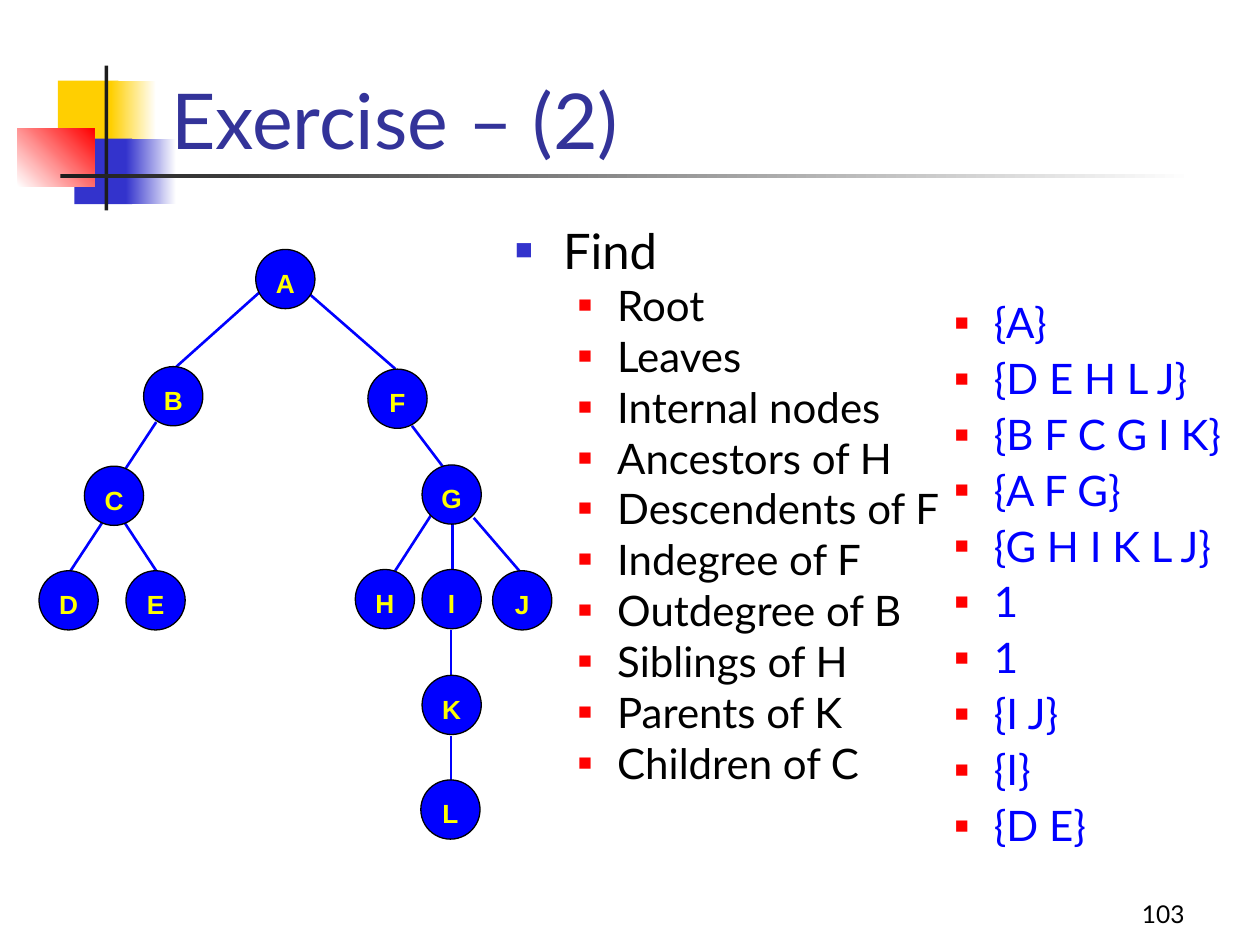
from lxml import etree
from pptx import Presentation
from pptx.dml.color import RGBColor
from pptx.enum.shapes import MSO_CONNECTOR, MSO_SHAPE
from pptx.enum.text import MSO_ANCHOR, PP_ALIGN
from pptx.oxml.ns import qn
from pptx.util import Inches, Pt

RECTANGLE = MSO_SHAPE.RECTANGLE
CIRCLE = MSO_SHAPE.FLOWCHART_CONNECTOR
STRAIGHT = MSO_CONNECTOR.STRAIGHT
TOP, MIDDLE, BOTTOM = MSO_ANCHOR.TOP, MSO_ANCHOR.MIDDLE, MSO_ANCHOR.BOTTOM
LEFT, CENTER, RIGHT = PP_ALIGN.LEFT, PP_ALIGN.CENTER, PP_ALIGN.RIGHT

COLORS = {
    "white": "FFFFFF", "black": "000000", "charcoal": "1C1C1C",
    "gold": "FFCF01", "indigo": "3333CC", "red": "FF0000",
    "title": "333399", "blue": "0000FF", "yellow": "FFFF00",
}
RGB = {name: RGBColor.from_string(value) for name, value in COLORS.items()}
FONT = "Lato"

prs = Presentation()
prs.slide_width, prs.slide_height = Inches(10), Inches(7.5)
slide = prs.slides.add_slide(prs.slide_layouts[6])
shapes = slide.shapes


def add_text(box, lines, size, color, anchor=TOP, align=LEFT):
    """Add a text box with one paragraph per line and return its paragraphs."""
    frame = shapes.add_textbox(*map(Inches, box)).text_frame
    frame.word_wrap = True
    frame.vertical_anchor = anchor
    frame.text = "\n".join(lines)
    for paragraph in frame.paragraphs:
        paragraph.alignment = align
        for run in paragraph.runs:
            run.font.name = FONT
            run.font.size = Pt(size)
            run.font.color.rgb = RGB[color]
    return frame.paragraphs


def set_bullet(paragraph, color, percent, margin, hanging, level):
    """Give a paragraph a square bullet with a hanging indent."""
    paragraph.level = level
    props = paragraph._p.get_or_add_pPr()
    props.set("marL", str(Inches(margin)))
    props.set("indent", str(-Inches(hanging)))
    bullet_color = etree.SubElement(props, qn("a:buClr"))
    etree.SubElement(bullet_color, qn("a:srgbClr"), val=COLORS[color])
    etree.SubElement(props, qn("a:buSzPct"), val=str(percent * 1000))
    etree.SubElement(props, qn("a:buFont"), typeface="Arial")
    etree.SubElement(props, qn("a:buChar"), char="■")


# Corner ornament and title rule: box, start colour, end colour, angle
ornament = [
    ((0.46, 0.64, 0.48, 0.52), "gold", None, 0),
    ((0.88, 0.64, 0.36, 0.52), "gold", "white", 0),
    ((0.59, 1.1, 0.46, 0.52), "indigo", None, 0),
    ((1, 1.1, 0.4, 0.52), "indigo", "white", 0),
    ((0.14, 1.02, 0.61, 0.46), "white", "red", 45),
    ((0.83, 0.52, 0.03, 1.15), "charcoal", None, 0),
    ((0.48, 1.38, 9, 0.03), "charcoal", "white", 0),
]
for box, start, end, angle in ornament:
    block = shapes.add_shape(RECTANGLE, *map(Inches, box))
    block.shadow.inherit = False
    block.line.fill.background()
    if end is None:
        block.fill.solid()
        block.fill.fore_color.rgb = RGB[start]
    else:
        block.fill.gradient()
        block.fill.gradient_angle = angle
        for stop, color, position in zip(block.fill.gradient_stops, (start, end), (0, 1)):
            stop.color.rgb = RGB[color]
            stop.position = position

# Slide number and title
add_text((7.42, 6.92, 2.08, 0.5), ["103"], 14, "black", BOTTOM, RIGHT)
add_text((1.26, 0.11, 8.52, 1.25), ["Exercise – (2)"], 44, "title", BOTTOM)

# Questions
questions = ["Root", "Leaves", "Internal nodes", "Ancestors of H", "Descendents of F",
             "Indegree of F", "Outdegree of B", "Siblings of H", "Parents of K",
             "Children of C"]
heading, *question_lines = add_text((3.99, 1.79, 3.58, 4.91), ["Find"] + questions, 24, "black")
heading.line_spacing = 0.8
heading.runs[0].font.size = Pt(28)
set_bullet(heading, "indigo", 60, 0.38, 0.38, 0)
for line in question_lines:
    line.line_spacing = 0.8
    line.space_before = Pt(6)
    set_bullet(line, "red", 55, 0.81, 0.31, 1)

# Tree edges: from x, y to x, y
edges = [
    (2.06, 2.32, 1.4, 2.91),   # A-B
    (2.44, 2.32, 3.14, 2.93),  # A-F
    (1.24, 3.35, 0.99, 3.73),  # B-C
    (0.81, 4.15, 0.56, 4.53),  # C-D
    (0.99, 4.15, 1.24, 4.53),  # C-E
    (3.27, 3.38, 3.52, 3.71),  # F-G
    (3.44, 4.06, 3.13, 4.54),  # G-H
    (3.59, 4.16, 3.59, 4.52),  # G-I
    (3.76, 4.11, 4.13, 4.54),  # G-J
    (3.58, 5, 3.58, 5.36),     # I-K
    (3.58, 5.84, 3.58, 6.19),  # K-L
]
for ends in edges:
    edge = shapes.add_connector(STRAIGHT, *map(Inches, ends))
    edge.line.color.rgb = RGB["blue"]
    edge.line.width = Pt(1.5)
    etree.SubElement(edge._element.spPr, qn("a:effectLst"))

# Tree nodes: left, top
NODE_SIZE = 0.47
nodes = {
    "A": (2.03, 1.98), "B": (1.14, 2.91), "F": (2.92, 2.93), "C": (0.67, 3.7),
    "G": (3.35, 3.69), "D": (0.31, 4.53), "E": (1, 4.53), "H": (2.82, 4.52),
    "I": (3.35, 4.52), "J": (3.91, 4.53), "K": (3.35, 5.36), "L": (3.34, 6.19),
}
for letter, (left, top) in nodes.items():
    node = shapes.add_shape(CIRCLE, *map(Inches, (left, top, NODE_SIZE, NODE_SIZE)))
    node.shadow.inherit = False
    node.fill.solid()
    node.fill.fore_color.rgb = RGB["blue"]
    node.line.color.rgb = RGB["black"]
    node.line.width = Pt(0.75)
    frame = node.text_frame
    frame.word_wrap = False
    frame.vertical_anchor = MIDDLE
    frame.margin_left = frame.margin_right = frame.margin_bottom = 0
    frame.margin_top = Inches(0.06)
    frame.text = letter
    label = frame.paragraphs[0]
    label.alignment = CENTER
    font = label.runs[0].font
    font.name, font.size, font.bold = "Arial", Pt(15), True
    font.color.rgb = RGB["yellow"]

# Answers
answers = ["{A}", "{D E H L J}", "{B F C G I K}", "{A F G}", "{G H I K L J}",
           "1", "1", "{I J}", "{I}", "{D E}"]
for row, line in enumerate(add_text((6.98, 2.35, 3, 4.55), answers, 24, "blue")):
    line.line_spacing = 0.9
    if row:
        line.space_before = Pt(6)
    set_bullet(line, "red", 55, 0.81, 0.31, 1)

prs.save("out.pptx")
